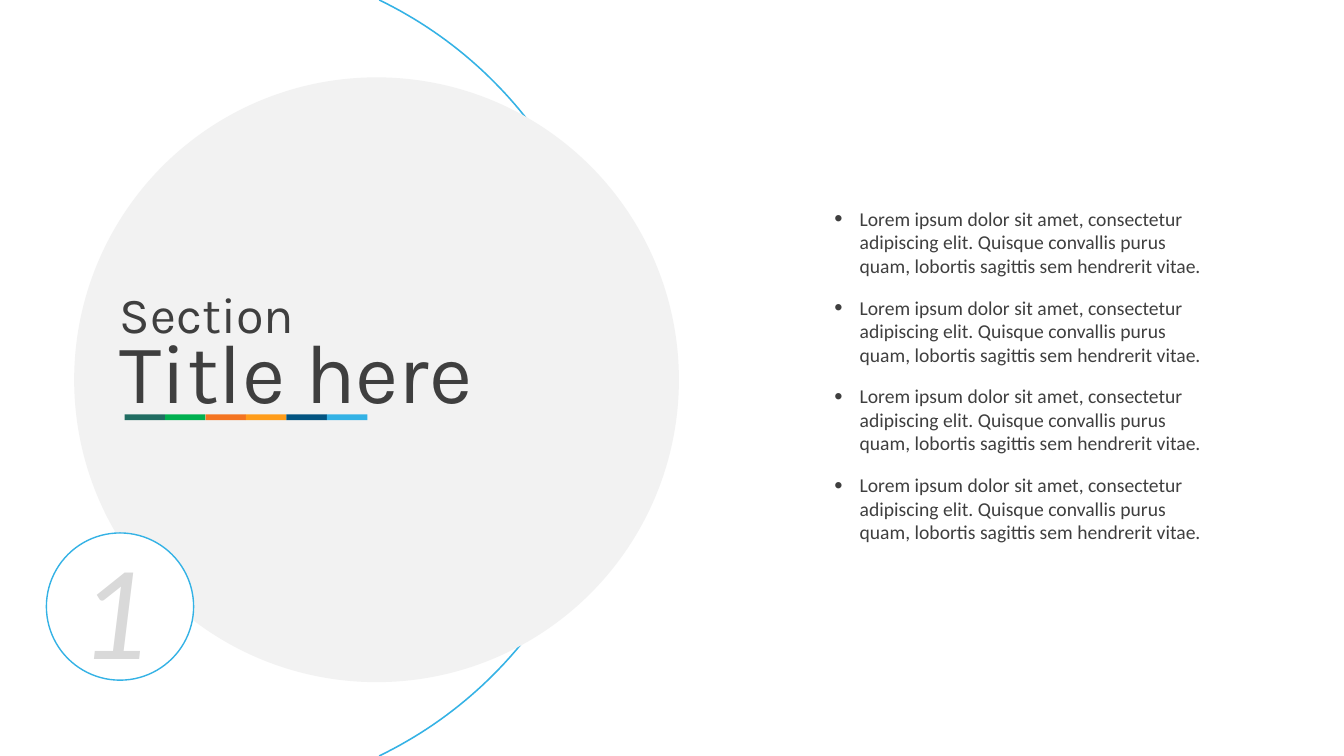
import math
import lxml.etree
import pptx
import pptx.util
import pptx.dml.color
import pptx.enum.shapes
import pptx.enum.text
import pptx.oxml.ns

Cm, Pt = pptx.util.Cm, pptx.util.Pt
kinds = pptx.enum.shapes.MSO_SHAPE
align = pptx.enum.text.PP_ALIGN
DARK, BLUE = "3F3F3F", "34B2E5"


def paint(target, color):
    """Give a fill or a line a solid colour."""
    target.solid()
    target.fore_color.rgb = pptx.dml.color.RGBColor.from_string(color)


def write(para, text, size, face, color):
    """Add one formatted run to a paragraph."""
    run = para.add_run()
    run.text = text
    run.font.size, run.font.name = Pt(size), face
    paint(run.font.fill, color)
    return run


deck = pptx.Presentation()
deck.slide_width, deck.slide_height = Cm(33.87), Cm(19.05)
slide = deck.slides.add_slide(deck.slide_layouts[1])
shapes = slide.shapes
title, body = slide.placeholders

# Large arc, cut off at the top and bottom edges
mid_x, mid_y, radius = 4.95, 9.525, 10.58
reach = math.asin(mid_y / radius)
steps = 120
dots = []
for i in range(steps + 1):
    angle = reach * (2 * i / steps - 1)
    dots.append((Cm(mid_x + radius * math.cos(angle)),
                 Cm(mid_y + radius * math.sin(angle))))
path = shapes.build_freeform(*dots[0])
path.add_line_segments(dots[1:], close=False)
arc = path.convert_to_shape()
arc.shadow.inherit = False
arc.fill.background()
paint(arc.line.fill, BLUE)
arc.line.width = Pt(1.1)

# Grey disc
disc = shapes.add_shape(kinds.OVAL, Cm(1.87), Cm(1.95), Cm(15.24), Cm(15.24))
disc.shadow.inherit = False
paint(disc.fill, "F2F2F2")
disc.line.fill.background()

# Section title, brought in front of the disc
title.left, title.top, title.width, title.height = Cm(2.77), Cm(6.58), Cm(13.11), Cm(4.22)
shapes.element.append(title.element)
frame = title.text_frame
frame.word_wrap = True
frame.auto_size = pptx.enum.text.MSO_AUTO_SIZE.NONE
frame.vertical_anchor = pptx.enum.text.MSO_ANCHOR.TOP
para = frame.paragraphs[0]
para.alignment, para.line_spacing = align.LEFT, Pt(55)
write(para, "Section", 36, "Karla", DARK)
para.add_line_break()
write(para, "Title here", 60, "Karla", DARK)

# Colour strip under the title
wide = 1.02
for i, color in enumerate(["216D62", "00B050", "F47421", "FF9C1A", "035481", BLUE]):
    bar = shapes.add_shape(kinds.RECTANGLE, Cm(3.14 + i * wide), Cm(10.44), Cm(wide), Cm(0.15))
    bar.shadow.inherit = False
    paint(bar.fill, color)
    bar.line.fill.background()

# Number ring
ring = shapes.add_shape(kinds.OVAL, Cm(1.17), Cm(13.43), Cm(3.71), Cm(3.71))
ring.shadow.inherit = False
paint(ring.fill, "FFFFFF")
paint(ring.line.fill, BLUE)
ring.line.width = Pt(1)
label = shapes.add_textbox(Cm(1.75), Cm(13.11), Cm(2.24), Cm(4.37))
label.text_frame.word_wrap = False
para = label.text_frame.paragraphs[0]
para.alignment = align.CENTER
write(para, "1", 96, "Calibri", "D9D9D9").font.italic = True

# Bullet list
body.left, body.top, body.width, body.height = Cm(20.77), Cm(5.08), Cm(9.98), Cm(8.84)
frame = body.text_frame
frame.word_wrap = True
frame.auto_size = pptx.enum.text.MSO_AUTO_SIZE.NONE
words = ("Lorem ipsum dolor sit amet, consectetur adipiscing elit. "
         "Quisque convallis purus quam, lobortis sagittis sem hendrerit vitae.")
for i in range(4):
    para = frame.add_paragraph() if i else frame.paragraphs[0]
    para.space_before, para.space_after = Pt(0), Pt(13)
    write(para, words, 14, "Calibri", DARK)
    props = para._p.get_or_add_pPr()
    props.set("marL", str(Cm(0.64)))
    props.set("indent", str(Cm(-0.64)))
    for tag, key, value in [("a:buSzPct", "val", "120000"),
                            ("a:buFont", "typeface", "Arial"),
                            ("a:buChar", "char", "•")]:
        lxml.etree.SubElement(props, pptx.oxml.ns.qn(tag)).set(key, value)

deck.save("out.pptx")
